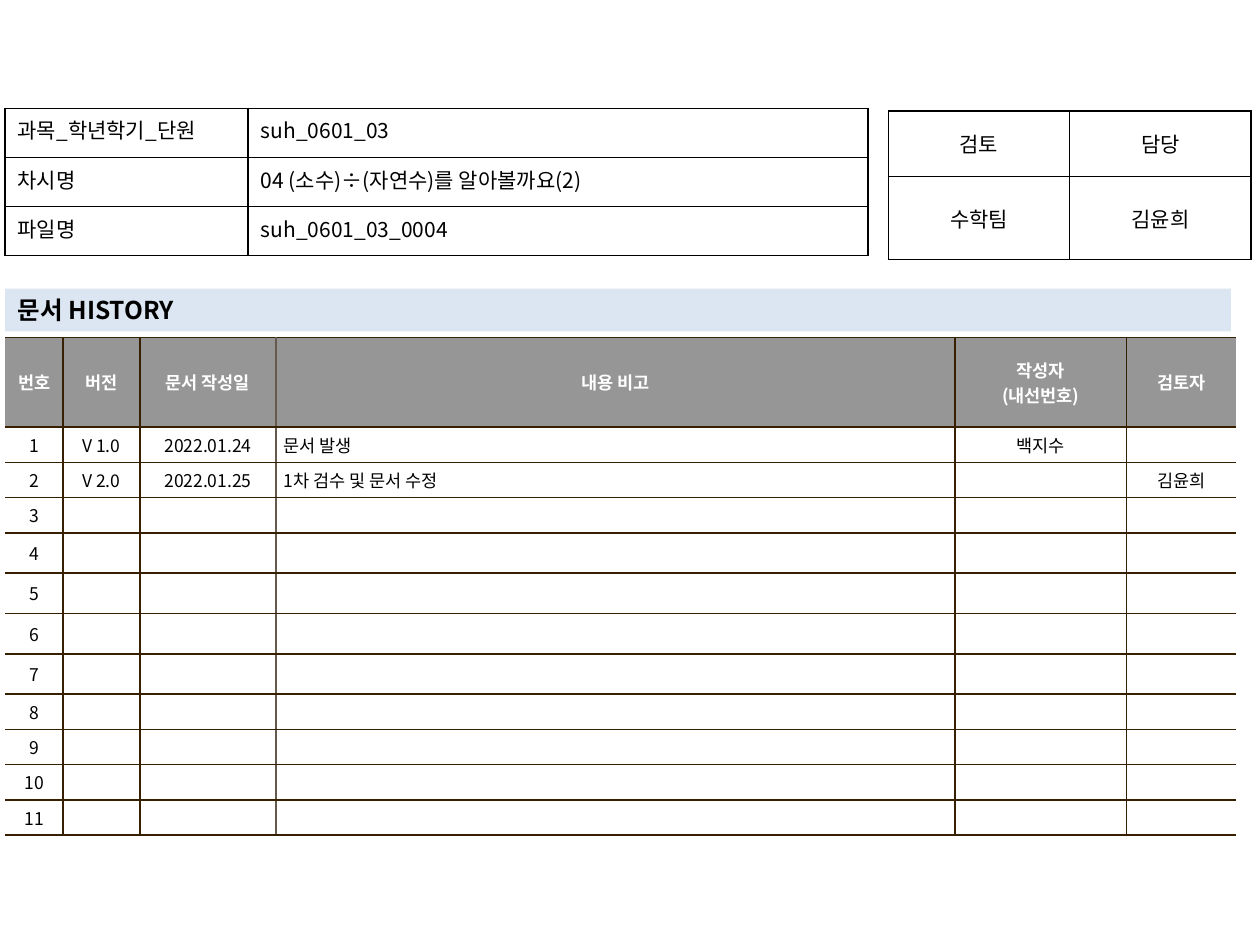
from lxml import etree
from pptx import Presentation
from pptx.dml.color import RGBColor
from pptx.enum.text import MSO_ANCHOR, MSO_AUTO_SIZE, PP_ALIGN
from pptx.oxml.ns import qn
from pptx.util import Inches, Pt

LEFT, CENTER, JUSTIFY = PP_ALIGN.LEFT, PP_ALIGN.CENTER, PP_ALIGN.JUSTIFY
TOP, MIDDLE = MSO_ANCHOR.TOP, MSO_ANCHOR.MIDDLE

THEME = {
    "font": "Noto Sans CJK KR",
    "black": "000000",
    "white": "FFFFFF",
    "band": "DCE6F2",
    "header": "969696",
    "brown": "362000",
    "taupe": "645B4C",
    "heading_size": 14,
    "label_size": 12,
    "history_size": 10,
    "border": 1,
}

HEADING = "문서 HISTORY"
DOCUMENT_INFO = [
    ("과목_학년학기_단원", "suh_0601_03"),
    ("차시명", "04 (소수)÷(자연수)를 알아볼까요(2)"),
    ("파일명", "suh_0601_03_0004"),
]
REVIEW = [("검토", "담당"), ("수학팀", "김윤희")]
HISTORY_HEADER = ("번호", "버전", "문서 작성일", "내용 비고", "작성자\n(내선번호)", "검토자")
HISTORY_ENTRIES = [
    ("V 1.0", "2022.01.24", "문서 발생", "백지수", ""),
    ("V 2.0", "2022.01.25", "1차 검수 및 문서 수정", "", "김윤희"),
]
HISTORY_COUNT = 11
TALL_ROWS = range(4, 8)
DATE_COLUMN, NOTE_COLUMN = 2, 3


def write(text_frame, text, size, color=THEME["black"], bold=False, align=LEFT):
    """Put one paragraph per line of text; an empty text keeps its type size."""
    text_frame.text = text
    for paragraph in text_frame.paragraphs:
        paragraph.alignment = align
        if not paragraph.runs:
            etree.SubElement(paragraph._p, qn("a:endParaRPr"), sz=str(size * 100))
        for run in paragraph.runs:
            run.font.name = THEME["font"]
            run.font.size = Pt(size)
            run.font.bold = bold
            run.font.color.rgb = RGBColor.from_string(color)
            east_asian = etree.SubElement(run._r.get_or_add_rPr(), qn("a:ea"))
            east_asian.set("typeface", THEME["font"])


def set_borders(cell, left, right, top, bottom):
    """Give each side a colour, or None for no line."""
    properties = cell._tc.get_or_add_tcPr()
    sides = {"a:lnL": left, "a:lnR": right, "a:lnT": top, "a:lnB": bottom}
    for position, (tag, color) in enumerate(sides.items()):
        line = etree.Element(qn(tag), w=str(Pt(THEME["border"])))
        if color:
            fill = etree.SubElement(line, qn("a:solidFill"))
            etree.SubElement(fill, qn("a:srgbClr"), val=color)
        else:
            etree.SubElement(line, qn("a:noFill"))
        properties.insert(position, line)


def add_grid(slide, left, top, widths, heights, margins):
    """Add an unstyled table with the given column widths and row heights."""
    table = slide.shapes.add_table(
        len(heights), len(widths), Inches(left), Inches(top),
        Inches(sum(widths)), Inches(sum(heights))).table
    table.first_row = table.horz_banding = False
    for column, width in zip(table.columns, widths):
        column.width = Inches(width)
    for row, height in zip(table.rows, heights):
        row.height = Inches(height)
    for cell in table.iter_cells():
        cell.margin_left = cell.margin_right = Inches(margins[0])
        cell.margin_top = cell.margin_bottom = Inches(margins[1])
    return table


def add_boxed_table(slide, rows, left, top, widths, heights, aligns, anchor):
    table = add_grid(slide, left, top, widths, heights, (0.1, 0.05))
    for row_index, row in enumerate(rows):
        for column, text in enumerate(row):
            cell = table.cell(row_index, column)
            cell.vertical_anchor = anchor
            cell.fill.background()
            set_borders(cell, *[THEME["black"]] * 4)
            write(cell.text_frame, text, THEME["label_size"], align=aligns[column])


def add_history_table(slide):
    blank = ("",) * (len(HISTORY_HEADER) - 1)
    entries = HISTORY_ENTRIES + [blank] * (HISTORY_COUNT - len(HISTORY_ENTRIES))
    rows = [HISTORY_HEADER]
    rows += [(str(number), *entry) for number, entry in enumerate(entries, 1)]
    heights = [0.71]
    heights += [0.32 if number in TALL_ROWS else 0.28
                for number in range(1, HISTORY_COUNT + 1)]
    widths = [0.46, 0.61, 1.08, 5.39, 1.36, 0.87]
    table = add_grid(slide, 0.04, 2.68, widths, heights, (0.06, 0.04))

    brown = THEME["brown"]
    dividers = [None] + [brown] * (len(widths) - 1) + [None]
    dividers[NOTE_COLUMN] = THEME["taupe"]
    for row_index, row in enumerate(rows):
        is_header = row_index == 0
        for column, text in enumerate(row):
            cell = table.cell(row_index, column)
            cell.vertical_anchor = MIDDLE
            cell.fill.solid()
            cell.fill.fore_color.rgb = RGBColor.from_string(
                THEME["header" if is_header else "white"])
            set_borders(cell, dividers[column], dividers[column + 1], brown, brown)
            is_note = column == NOTE_COLUMN and not is_header
            write(cell.text_frame, text, THEME["history_size"],
                  color=THEME["white" if is_header else "black"],
                  bold=is_header, align=LEFT if is_note else CENTER)


def add_heading(slide):
    title = slide.shapes.title
    title.left, title.top = Inches(0.04), Inches(2.29)
    title.width, title.height = Inches(9.73), Inches(0.34)
    title.fill.solid()
    title.fill.fore_color.rgb = RGBColor.from_string(THEME["band"])
    title.text_frame.auto_size = MSO_AUTO_SIZE.NONE
    title.text_frame.vertical_anchor = MIDDLE
    write(title.text_frame, HEADING, THEME["heading_size"], bold=True)


def main():
    presentation = Presentation()
    presentation.slide_width, presentation.slide_height = Inches(10), Inches(7.5)
    slide = presentation.slides.add_slide(
        presentation.slide_layouts.get_by_name("Title Only"))
    add_heading(slide)
    add_history_table(slide)
    add_boxed_table(slide, REVIEW, 7.05, 0.88, [1.44] * 2, [0.52, 0.66],
                    (CENTER, CENTER), MIDDLE)
    add_boxed_table(slide, DOCUMENT_INFO, 0.04, 0.86, [1.93, 4.92], [0.39] * 3,
                    (JUSTIFY, LEFT), TOP)
    presentation.save("out.pptx")


if __name__ == "__main__":
    main()
